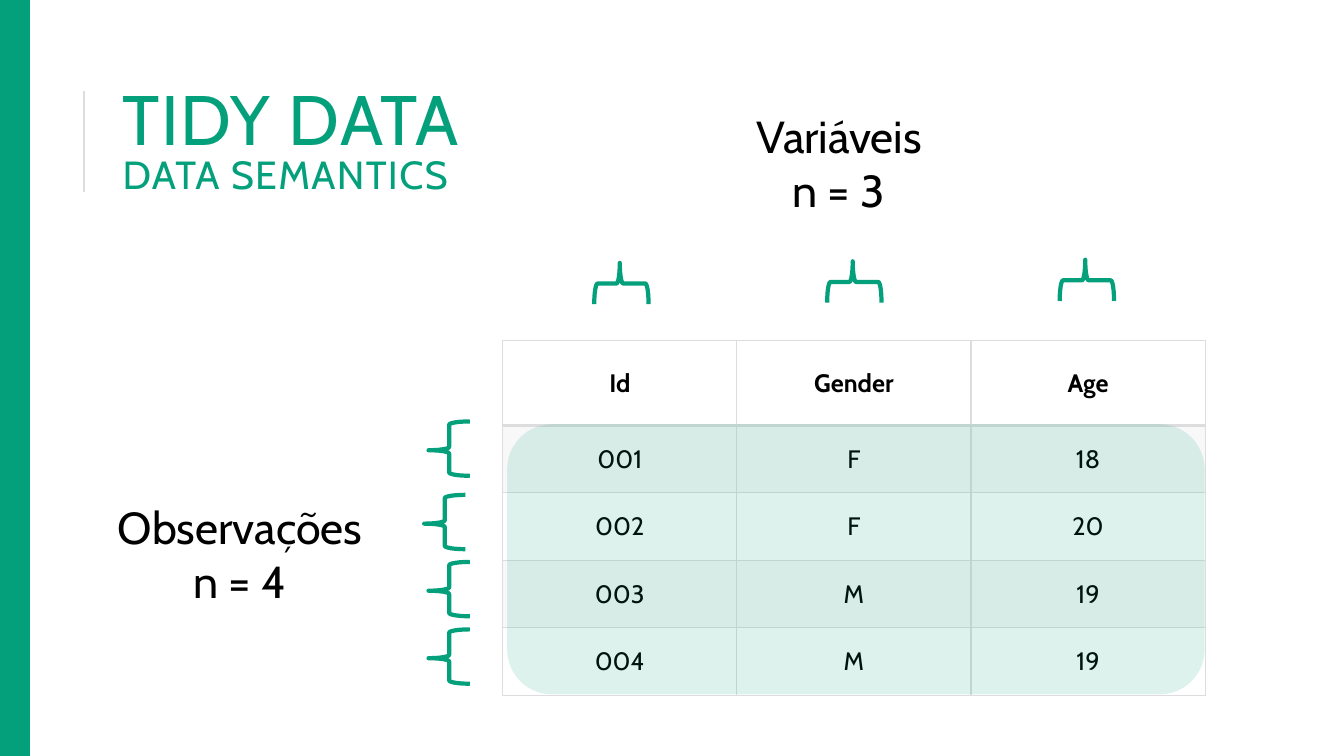
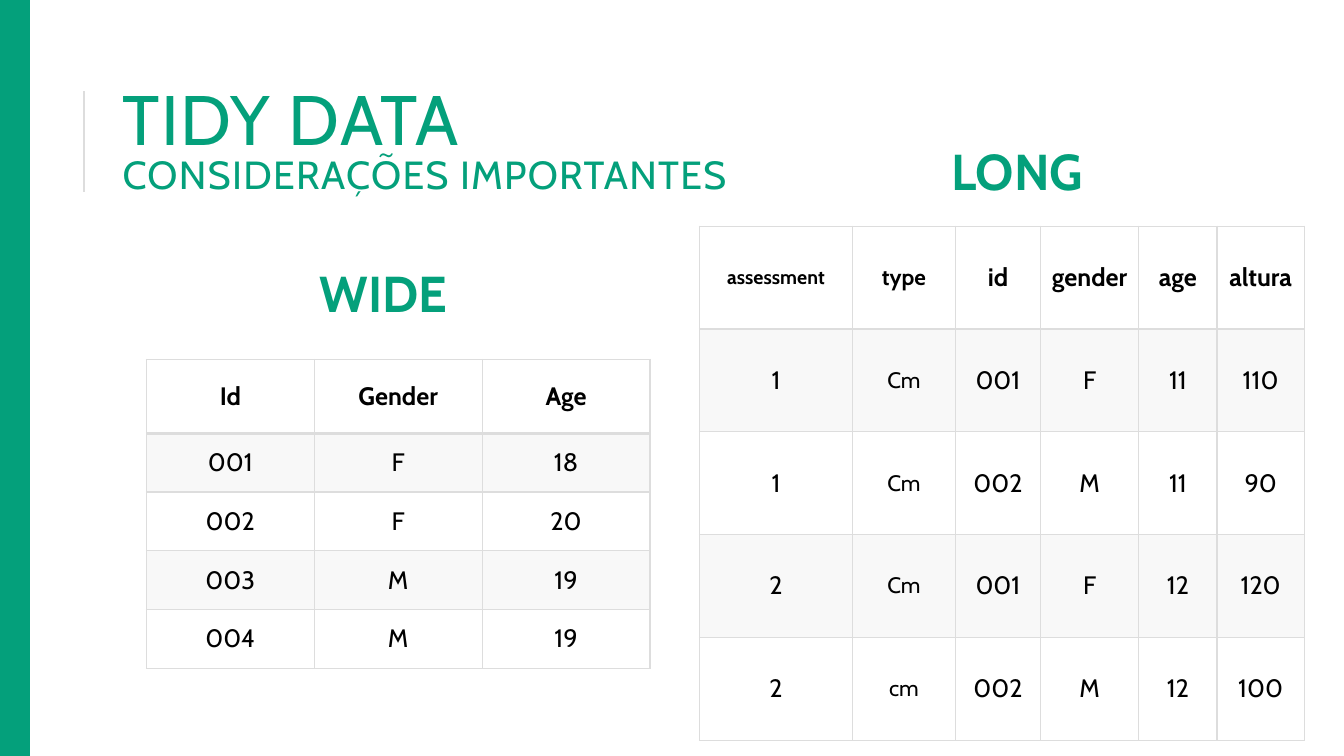
from dataclasses import dataclass

from lxml import etree
from pptx import Presentation
from pptx.dml.color import RGBColor
from pptx.enum.shapes import MSO_CONNECTOR, MSO_SHAPE
from pptx.enum.text import MSO_ANCHOR, PP_ALIGN
from pptx.oxml.ns import qn
from pptx.util import Cm, Pt

CENTER = PP_ALIGN.CENTER
MIDDLE = MSO_ANCHOR.MIDDLE
STRAIGHT = MSO_CONNECTOR.STRAIGHT
RECTANGLE = MSO_SHAPE.RECTANGLE
ROUNDED = MSO_SHAPE.ROUNDED_RECTANGLE
LEFT_BRACE = MSO_SHAPE.LEFT_BRACE


@dataclass(frozen=True)
class Theme:
    font: str = "Cabin"
    green: str = "04A07B"
    gray: str = "DDDDDD"
    black: str = "000000"
    title: int = 50
    subtitle: int = 28
    heading: int = 36
    label: int = 32
    cell: int = 18
    cell_small: int = 16
    cell_tiny: int = 14
    band_opacity: int = 20
    overlay_opacity: int = 13


THEME = Theme()
SLIDE_WIDTH, SLIDE_HEIGHT = 33.87, 19.05

PEOPLE = [
    ("Id", "Gender", "Age"),
    ("001", "F", "18"),
    ("002", "F", "20"),
    ("003", "M", "19"),
    ("004", "M", "19"),
]
ASSESSMENTS = [
    ("assessment", "type", "id", "gender", "age", "altura"),
    ("1", "Cm", "001", "F", "11", "110"),
    ("1", "Cm", "002", "M", "11", "90"),
    ("2", "Cm", "001", "F", "12", "120"),
    ("2", "cm", "002", "M", "12", "100"),
]
ASSESSMENT_SIZES = {(0, 0): THEME.cell_tiny}
ASSESSMENT_SIZES.update({(row, 1): THEME.cell_small for row in range(len(ASSESSMENTS))})

SLIDES = [
    {
        "title": ("TIDY DATA", "DATA SEMANTICS"),
        "tables": [
            {"rows": PEOPLE, "at": (12.67, 8.59), "widths": [5.9] * 3,
             "heights": [2.13] + [1.7] * 4, "sizes": {}},
        ],
        "texts": [
            ("Observações\nn = 4", (2.26, 12.47, 7.59, 3), THEME.label, THEME.black, False),
            ("Variáveis\nn = 3", (17.35, 2.62, 7.59, 3), THEME.label, THEME.black, False),
        ],
        "braces": [
            (10.8, 10.62, 0), (10.69, 12.47, 0), (10.8, 14.16, 0), (10.8, 15.86, 0),
            (15.14, 6.46, 90), (21.01, 6.42, 90), (26.87, 6.38, 90),
        ],
        "overlays": [(12.78, 10.69, 17.58, 6.81)],
    },
    {
        "title": ("TIDY DATA", "CONSIDERAÇÕES IMPORTANTES"),
        "tables": [
            {"rows": PEOPLE, "at": (3.69, 9.06), "widths": [4.23] * 3,
             "heights": [1.86] + [1.48] * 4, "sizes": {}},
            {"rows": ASSESSMENTS, "at": (17.63, 5.7),
             "widths": [3.85, 2.6, 2.14, 2.48, 1.97, 2.2],
             "heights": [2.59] * 5, "sizes": ASSESSMENT_SIZES},
        ],
        "texts": [
            ("WIDE", (5.94, 6.48, 7.44, 1.8), THEME.heading, THEME.green, True),
            ("LONG", (21.92, 3.4, 7.44, 1.8), THEME.heading, THEME.green, True),
        ],
        "braces": [],
        "overlays": [],
    },
]


def color(value):
    return RGBColor.from_string(value)


def lengths(values):
    return [Cm(value) for value in values]


def format_run(run, size, value, bold=False):
    run.font.name = THEME.font
    run.font.size = Pt(size)
    run.font.bold = bold
    run.font.color.rgb = color(value)


def format_centered(text_frame, size, value, bold):
    for paragraph in text_frame.paragraphs:
        paragraph.alignment = CENTER
        for run in paragraph.runs:
            format_run(run, size, value, bold)


def solid_fill(fill, properties, value, opacity):
    fill.solid()
    fill.fore_color.rgb = color(value)
    color_element = properties.find(qn("a:solidFill"))[0]
    etree.SubElement(color_element, qn("a:alpha"), val=str(opacity * 1000))


def add_plain_shape(slide, kind, box):
    shape = slide.shapes.add_shape(kind, *lengths(box))
    shape.shadow.inherit = False
    return shape


def add_text(slide, text, box, size, value, bold):
    text_frame = slide.shapes.add_textbox(*lengths(box)).text_frame
    text_frame.word_wrap = True
    text_frame.text = text
    format_centered(text_frame, size, value, bold)


def add_frame(slide, title):
    rule = slide.shapes.add_connector(STRAIGHT, *lengths((2.12, 4.83, 2.12, 2.29)))
    rule.line.color.rgb = color(THEME.gray)
    rule.line.width = Pt(1.5)
    etree.SubElement(rule._element.spPr, qn("a:effectLst"))

    text_frame = slide.shapes.add_textbox(*lengths((2.84, 1.55, 27, 4.17))).text_frame
    text_frame.word_wrap = True
    text_frame.vertical_anchor = MIDDLE
    paragraph = text_frame.paragraphs[0]
    paragraph.text = "\v".join(title)
    paragraph.line_spacing = 0.8
    for run, size in zip(paragraph.runs, (THEME.title, THEME.subtitle)):
        format_run(run, size, THEME.green)
        run._r.get_or_add_rPr().set("spc", "100")

    band = add_plain_shape(slide, RECTANGLE, (0, 0, 0.74, SLIDE_HEIGHT))
    band.fill.solid()
    band.fill.fore_color.rgb = color(THEME.green)
    band.line.color.rgb = color(THEME.green)
    band.line.width = Pt(1.25)


def add_borders(properties, row):
    widths = {"lnL": 1, "lnR": 1, "lnT": 2 if row == 1 else 1, "lnB": 2 if row == 0 else 1}
    for side, width in widths.items():
        line = etree.SubElement(properties, qn(f"a:{side}"), w=str(Pt(width)))
        fill = etree.SubElement(line, qn("a:solidFill"))
        etree.SubElement(fill, qn("a:srgbClr"), val=THEME.gray)


def add_data_table(slide, rows, at, widths, heights, sizes):
    box = (*at, sum(widths), sum(heights))
    table = slide.shapes.add_table(len(rows), len(widths), *lengths(box)).table
    table.first_row = table.horz_banding = False
    for column, width in zip(table.columns, widths):
        column.width = Cm(width)
    for table_row, height in zip(table.rows, heights):
        table_row.height = Cm(height)
    for row, values in enumerate(rows):
        for column, value in enumerate(values):
            cell = table.cell(row, column)
            cell.text_frame.text = value
            cell.vertical_anchor = MIDDLE
            size = sizes.get((row, column), THEME.cell)
            format_centered(cell.text_frame, size, THEME.black, row == 0)
            properties = cell._tc.get_or_add_tcPr()
            add_borders(properties, row)
            if row % 2:
                solid_fill(cell.fill, properties, THEME.gray, THEME.band_opacity)
            else:
                cell.fill.background()


def add_brace(slide, left, top, rotation):
    brace = add_plain_shape(slide, LEFT_BRACE, (left, top, 1.04, 1.37))
    brace.adjustments[0] = 0.08
    brace.adjustments[1] = 0.53
    brace.rotation = rotation
    brace.fill.background()
    brace.line.color.rgb = color(THEME.green)
    brace.line.width = Pt(3)


def add_overlay(slide, box):
    overlay = add_plain_shape(slide, ROUNDED, box)
    solid_fill(overlay.fill, overlay._element.spPr, THEME.green, THEME.overlay_opacity)
    overlay.line.fill.background()


def main():
    presentation = Presentation()
    presentation.slide_width = Cm(SLIDE_WIDTH)
    presentation.slide_height = Cm(SLIDE_HEIGHT)
    for content in SLIDES:
        slide = presentation.slides.add_slide(presentation.slide_layouts[6])
        add_frame(slide, content["title"])
        for table in content["tables"]:
            add_data_table(slide, **table)
        for text in content["texts"]:
            add_text(slide, *text)
        for brace in content["braces"]:
            add_brace(slide, *brace)
        for box in content["overlays"]:
            add_overlay(slide, box)
    presentation.save("out.pptx")


if __name__ == "__main__":
    main()
